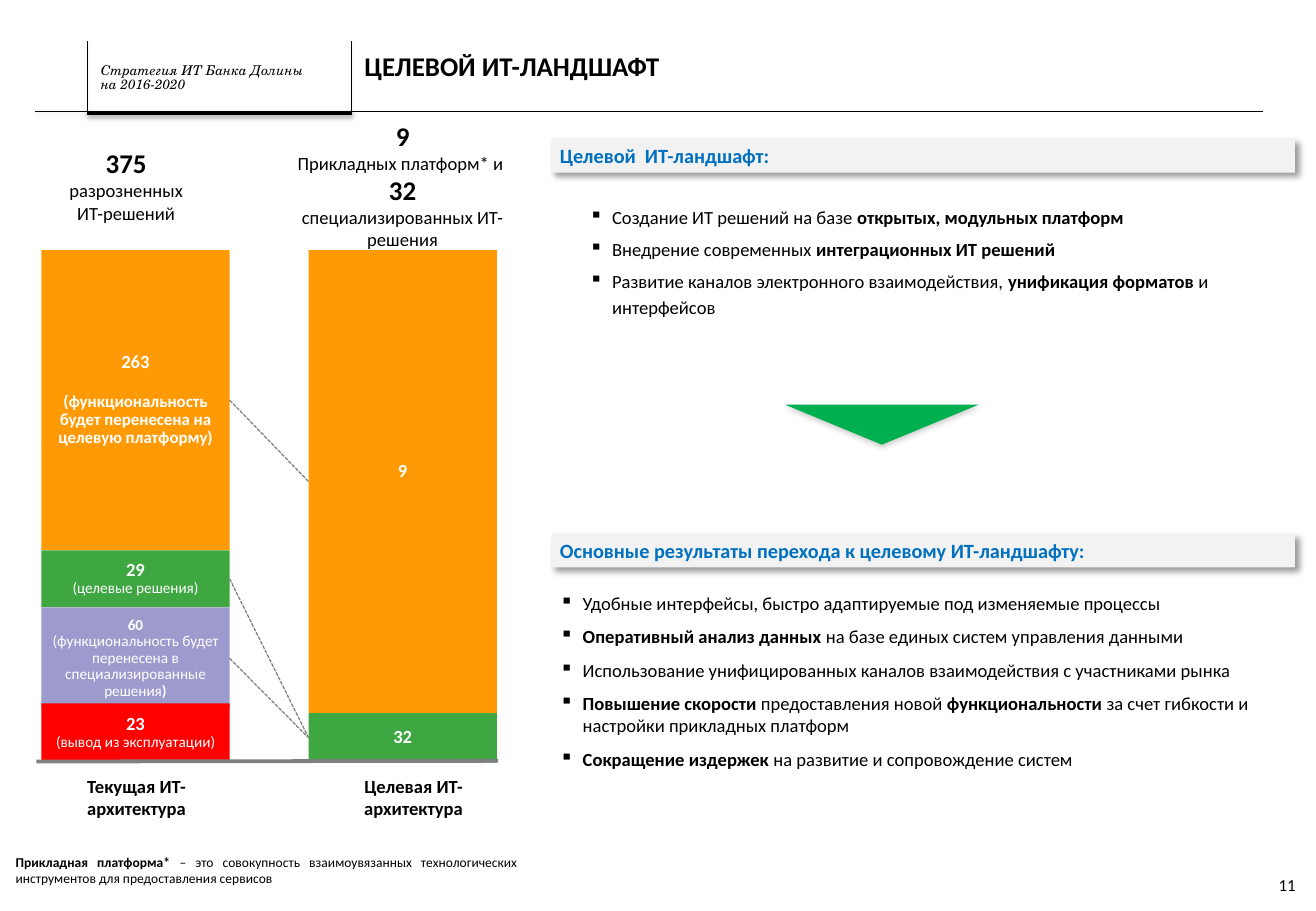
from lxml import etree
from pptx import Presentation
from pptx.dml.color import RGBColor
from pptx.enum.dml import MSO_LINE
from pptx.enum.shapes import MSO_CONNECTOR as Connector, MSO_SHAPE as Shape
from pptx.enum.text import MSO_ANCHOR as Anchor, MSO_AUTO_SIZE as AutoSize, PP_ALIGN as Align
from pptx.oxml.ns import qn
from pptx.util import Pt


class Theme:
    font, stamp_font = "Calibri", "TeX Gyre Schola"
    black, white, grey = "000000", "FFFFFF", "808080"
    orange, green, lilac, red = "FF9A05", "3EA742", "9D9BCD", "FF0000"
    blue, panel, arrow = "0070C0", "F2F2F2", "00B050"
    big, heading, body, note, page_number, label, small = 16, 12, 11, 10, 10, 9, 8


def set_shadow(shape, color=None, alpha=0, blur=0, distance=0, angle=0):
    properties = shape._element.spPr
    effects = etree.SubElement(properties, qn("a:effectLst"))
    if color:
        outer = etree.SubElement(
            effects, qn("a:outerShdw"), blurRad=str(Pt(blur)), dist=str(Pt(distance)),
            dir=str(angle * 60000), algn="ctr", rotWithShape="0")
        tint = etree.SubElement(outer, qn("a:srgbClr"), val=color)
        etree.SubElement(tint, qn("a:alpha"), val=str(alpha * 1000))


def add_box(place, lines, color=Theme.black, fill=None, align=Align.LEFT, anchor=Anchor.TOP,
            insets=(0, 0, 0, 0), spacing=1.0, after=0, indent=None, font=Theme.font):
    place = [Pt(length) for length in place]
    if fill:
        box = page.shapes.add_shape(Shape.RECTANGLE, *place)
        box.fill.solid()
        box.fill.fore_color.rgb = RGBColor.from_string(fill)
        box.line.fill.background()
    else:
        box = page.shapes.add_textbox(*place)
    frame = box.text_frame
    frame.word_wrap = True
    frame.vertical_anchor = anchor
    frame.margin_left, frame.margin_top, frame.margin_right, frame.margin_bottom = map(Pt, insets)
    for index, (text, size) in enumerate(lines):
        para = frame.paragraphs[0] if index == 0 else frame.add_paragraph()
        para.alignment = align
        para.line_spacing = spacing
        para.space_after = Pt(after)
        para.font.name = font
        para.font.size = Pt(size)
        para.font.color.rgb = RGBColor.from_string(color)
        for part, words in enumerate(text.split("|")):
            if words:
                span = para.add_run()
                span.text = words
                span.font.bold = part % 2 == 1
        if indent:
            settings = para._p.get_or_add_pPr()
            settings.set("marL", str(Pt(indent)))
            settings.set("indent", str(-Pt(13.5)))
            bullet = etree.Element(qn("a:buChar"), char="▪")
            settings.find(qn("a:defRPr")).addprevious(bullet)
    return box


deck = Presentation()
deck.slide_width, deck.slide_height = Pt(780), Pt(540)
page = deck.slides.add_slide(deck.slide_layouts[5])

title = page.shapes.title
title.left, title.top, title.width, title.height = Pt(216), Pt(24.5), Pt(532.8), Pt(31)
title.text = "ЦЕЛЕВОЙ ИТ-ЛАНДШАФТ"
frame = title.text_frame
frame.auto_size = AutoSize.NONE
frame.vertical_anchor = Anchor.MIDDLE
frame.margin_left = frame.margin_top = frame.margin_right = frame.margin_bottom = 0
para = frame.paragraphs[0]
para.alignment = Align.LEFT
para.line_spacing = 0.9
para.font.name = Theme.font
para.font.size = Pt(Theme.big)
para.font.bold = True
para.font.color.rgb = RGBColor.from_string(Theme.black)

header_lines = [
    (51.8, 66.2, 20.9, 66.2, 0.25),
    (208.8, 67, 51.8, 67, 2.25),
    (748.8, 66.2, 207.4, 66.2, 0.25),
    (51.8, 67, 51.8, 24.5, 0.25),
    (208.1, 67, 208.1, 24.5, 0.25),
]
for *ends, width in header_lines:
    rule = page.shapes.add_connector(Connector.STRAIGHT, *map(Pt, ends))
    rule.line.width = Pt(width)
    rule.line.color.rgb = RGBColor.from_string(Theme.black)
    set_shadow(rule, Theme.black, 38, 3.1, 1.6, 90)

stamp = add_box((59.8, 38.2, 146.2, 16.6),
                [("Стратегия ИТ Банка Долины", Theme.small), ("на 2016-2020", Theme.small)],
                anchor=Anchor.MIDDLE, spacing=0.85, font=Theme.stamp_font)
for para in stamp.text_frame.paragraphs:
    para.font.italic = True

current_left, target_left, bar_width = 24.5, 182.9, 111.6
bars = {
    "migrating": (current_left, 148.3, 177.8, Theme.orange, [
        ("|263", Theme.body),
        ("|(функциональность будет перенесена на целевую платформу)", Theme.note)]),
    "kept": (current_left, 326.2, 33.8, Theme.green, [
        ("|29", Theme.body), ("(целевые решения)", Theme.label)]),
    "specialised": (current_left, 360, 60.5, Theme.lilac, [
        ("|60", Theme.label),
        ("(функциональность будет перенесена в специализированные решения|)", Theme.label)]),
    "retired": (current_left, 416.9, 34.5, Theme.red, [
        ("|23", Theme.body), ("(вывод из эксплуатации)", Theme.label)]),
    "target special": (target_left, 422.6, 29.5, Theme.green, [("|32", Theme.body)]),
    "target platforms": (target_left, 148.3, 274.3, Theme.orange, [("|9", Theme.body)]),
}
middles = {}
for name, (left, top, height, fill, lines) in bars.items():
    bar = add_box((left, top, bar_width, height), lines, Theme.white, fill,
                  Align.CENTER, Anchor.MIDDLE, spacing=0.9)
    bar.shadow.inherit = False
    middles[name] = top + height / 2
    if name == "migrating":
        bar.text_frame.paragraphs[0].space_after = Pt(12)
    if name == "target platforms":
        bar.text_frame.margin_bottom = Pt(12)

links = [("specialised", "target special"), ("kept", "target special"),
         ("migrating", "target platforms")]
chart_lines = [(current_left + bar_width, middles[start], target_left, middles[end],
                0.75, MSO_LINE.SQUARE_DOT) for start, end in links]
chart_lines.append((295.2, 451, 21.6, 451.4, 2.25, MSO_LINE.SOLID))
for *ends, width, dash in chart_lines:
    link = page.shapes.add_connector(Connector.STRAIGHT, *map(Pt, ends))
    link.line.width = Pt(width)
    link.line.color.rgb = RGBColor.from_string(Theme.grey)
    link.line.dash_style = dash
    set_shadow(link)

captions = [
    ((33.8, 84.2, 82.1, 52.6), 2.9,
     [("|375", Theme.big), ("разрозненных ИТ-решений", Theme.body)]),
    ((167, 67.7, 143.3, 85), 2.9,
     [("|9", Theme.big), ("Прикладных платформ* и ", Theme.body),
      ("|32", Theme.big), ("специализированных ИТ-решения", Theme.body)]),
    ((24.5, 459.4, 113, 33.8), 0, [("|Текущая ИТ-архитектура", Theme.body)]),
    ((204.5, 459.4, 81.4, 33.8), 0, [("|Целевая ИТ-архитектура", Theme.body)]),
]
for place, inset, lines in captions:
    add_box(place, lines, align=Align.CENTER, insets=(0, inset, 0, inset))

add_box((2.2, 502.6, 311.8, 26.6),
        [("|Прикладная платформа* |– это совокупность взаимоувязанных технологических "
          "инструментов для предоставления сервисов", Theme.small)],
        align=Align.JUSTIFY, insets=(7.2, 3.6, 7.2, 3.6))
add_box((747.4, 509.8, 31, 28.8), [("11", Theme.page_number)],
        align=Align.CENTER, anchor=Anchor.MIDDLE)

panel_left, panel_width = 326.9, 440.6
panel_insets = (5, 2.9, 5, 2.9)
headings = [(82.1, "|Целевой  ИТ-ландшафт:"),
            (316.1, "|Основные результаты перехода к целевому ИТ-ландшафту:")]
for top, text in headings:
    panel = add_box((panel_left, top, panel_width, 20.2), [(text, Theme.heading)],
                    Theme.blue, Theme.panel, insets=panel_insets)
    set_shadow(panel, Theme.black, 40, 4, 3, 45)

features = [
    "Создание ИТ решений на базе |открытых, модульных платформ",
    "Внедрение современных |интеграционных ИТ решений",
    "Развитие каналов электронного взаимодействия, |унификация форматов |и интерфейсов",
]
results = [
    "Удобные интерфейсы, быстро адаптируемые под изменяемые процессы",
    "|Оперативный анализ данных| на базе единых систем управления данными",
    "Использование унифицированных каналов взаимодействия с участниками рынка",
    "|Повышение скорости |предоставления новой |функциональности |"
    "за счет гибкости и настройки прикладных платформ",
    "|Сокращение издержек |на развитие и сопровождение систем",
]
add_box((panel_left, 115.9, panel_width, 77), [(text, Theme.body) for text in features],
        insets=(7.2, 3.6, 7.2, 3.6), spacing=1.2, after=3, indent=28.8)
add_box((panel_left, 347.8, panel_width, 126.7), [(text, Theme.body) for text in results],
        insets=panel_insets, after=6.6, indent=13.5)

arrow = page.shapes.add_shape(Shape.ISOSCELES_TRIANGLE, Pt(465.1), Pt(239.8), Pt(115.2), Pt(23.8))
arrow.rotation = 180
arrow.fill.solid()
arrow.fill.fore_color.rgb = RGBColor.from_string(Theme.arrow)
arrow.line.fill.background()
set_shadow(arrow, Theme.grey, 35, 3.1, 1.8, 90)

deck.save("out.pptx")
